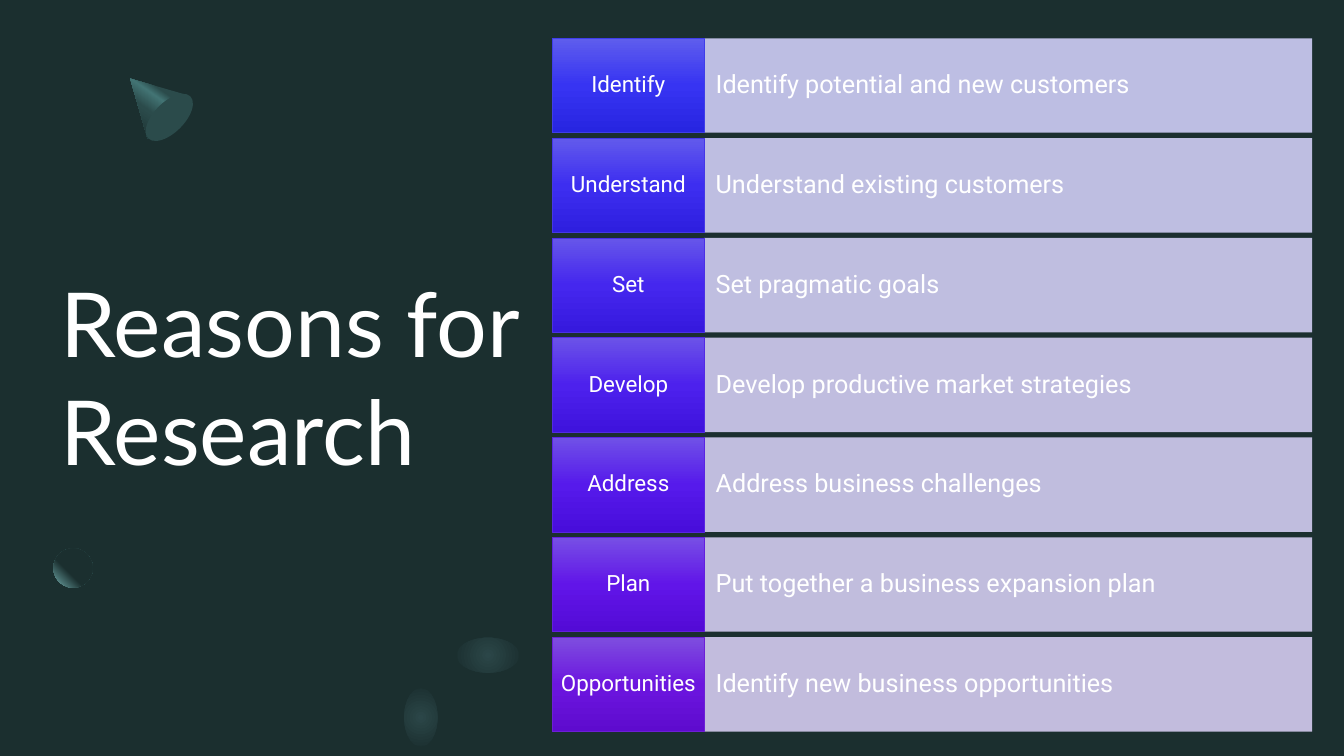
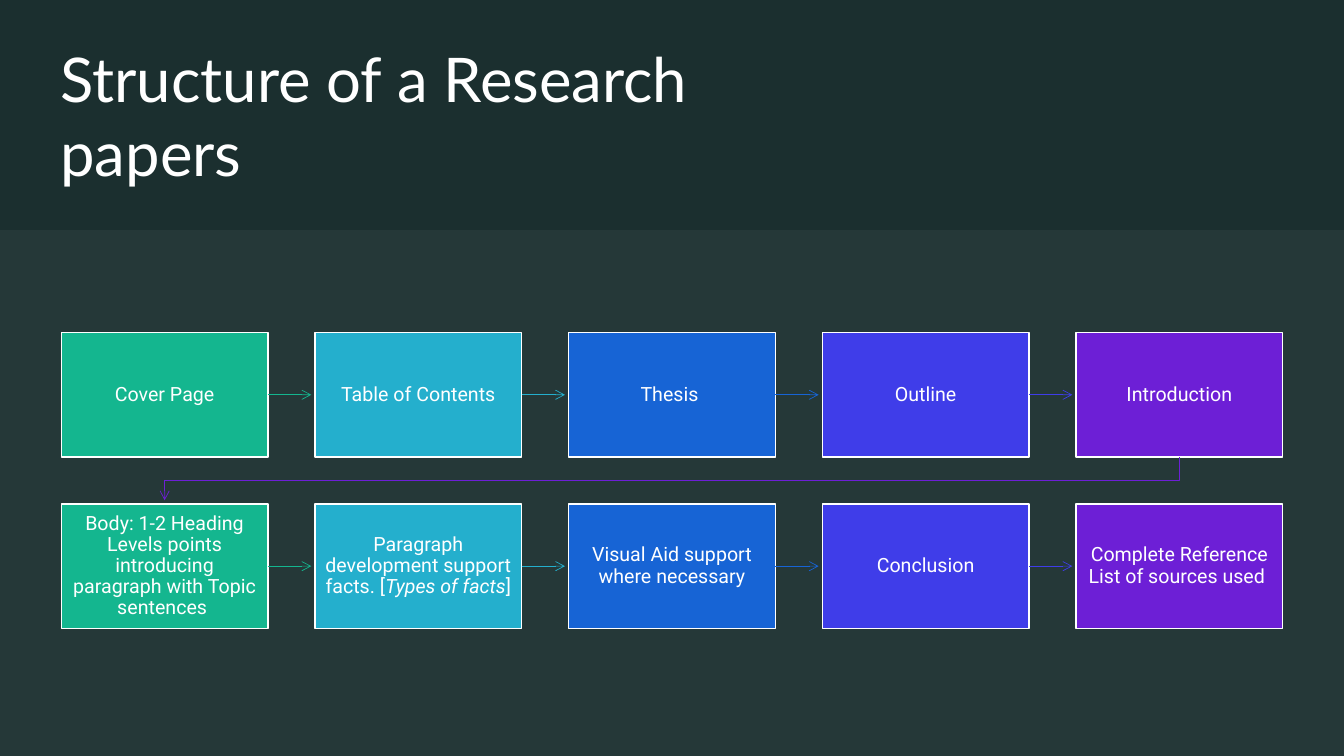
from lxml.etree import SubElement
from pptx import Presentation
from pptx.dml.color import RGBColor
from pptx.enum.shapes import MSO_CONNECTOR, MSO_SHAPE
from pptx.enum.text import MSO_ANCHOR, MSO_AUTO_SIZE, PP_ALIGN
from pptx.oxml.ns import qn
from pptx.util import Emu, Inches, Pt

COLUMNS, ROWS = 160, 90  # square grid cells across and down the slide
CELL = Inches(1 / 12)

NIGHT = RGBColor(0x1B, 0x2F, 0x2F)
PINE = RGBColor(0x2B, 0x4B, 0x4B)
TEAL = RGBColor(0x43, 0x74, 0x74)
MIST = RGBColor(0x75, 0xAF, 0xAF)
HAZE = RGBColor(0xE3, 0xEF, 0xEF)
WHITE = RGBColor(0xFF, 0xFF, 0xFF)
GREEN = RGBColor(0x14, 0xB6, 0x8F)
CYAN = RGBColor(0x24, 0xAF, 0xCD)
BLUE = RGBColor(0x17, 0x64, 0xD5)
INDIGO = RGBColor(0x3F, 0x3D, 0xE9)
PURPLE = RGBColor(0x6D, 0x1F, 0xD6)
STEP_COLORS = [GREEN, CYAN, BLUE, INDIGO, PURPLE]

# Tag, reason, panel tint, tag border, and the tag's top, middle and bottom shades
REASONS = [
    ("Identify", "Identify potential and new customers",
     "CFCEF7", "3F3DE9", "5E5DED", "3734F2", "2725E1"),
    ("Understand", "Understand existing customers",
     "D0CEF5", "4537E7", "625AEC", "3D2EF0", "2E1FDF"),
    ("Set", "Set pragmatic goals",
     "D1CEF4", "4B30E5", "6656EA", "4527EE", "3619DE"),
    ("Develop", "Develop productive market strategies",
     "D2CDF3", "532AE4", "6B53E8", "4D21ED", "3F13DD"),
    ("Address", "Address business challenges",
     "D3CDF2", "5A24E2", "7051E7", "561AEB", "480DDB"),
    ("Plan", "Put together a business expansion plan",
     "D4CDF1", "631FDE", "774FE5", "6115E8", "530BD6"),
    ("Opportunities", "Identify new business opportunities",
     "D5CCF0", "6D1FD6", "7E4EDF", "6C16DF", "5E0BCE"),
]

# Each step is a tuple of spans; every second span is italic
STEP_ROWS = [
    [("Cover Page",), ("Table of Contents",), ("Thesis ",), ("Outline",),
     ("Introduction",)],
    [("Body: 1-2 Heading Levels points introducing paragraph with Topic sentences ",),
     ("Paragraph development support facts. [", "Types of facts", "]"),
     ("Visual Aid support where necessary",), ("Conclusion",),
     ("Complete Reference List of sources used ",)],
]


def cells(*counts):
    return [Emu(round(count * CELL)) for count in counts]


def set_all(target, values):
    for name, value in values.items():
        setattr(target, name, value)


def write(shape, spans, size, font="Roboto", align=PP_ALIGN.CENTER,
          spacing=0.9, inset=(1, 0.6)):
    frame = shape.text_frame
    side, edge = cells(*inset)
    set_all(frame, {"word_wrap": True, "auto_size": MSO_AUTO_SIZE.NONE,
                    "vertical_anchor": MSO_ANCHOR.MIDDLE,
                    "margin_left": side, "margin_right": side,
                    "margin_top": edge, "margin_bottom": edge})
    para = frame.paragraphs[0]
    set_all(para, {"alignment": align, "line_spacing": spacing})
    for index, text in enumerate(spans):
        span = para.add_run()
        span.text = text
        set_all(span.font, {"name": font, "size": Pt(size),
                            "italic": index % 2 == 1})
        span.font.color.rgb = WHITE


def add_titled_page(deck, title, area, size):
    page = deck.slides.add_slide(deck.slide_layouts[5])
    box = page.shapes.title
    set_all(box, dict(zip(("left", "top", "width", "height"), cells(*area))))
    write(box, [title], size, "Lato", PP_ALIGN.LEFT, 1.0, (0, 0))
    return page


def outline(shape, color, width):
    shape.line.color.rgb = color
    shape.line.width = Pt(width)


def add_form(page, kind, area, color=None, opacity=100):
    shape = page.shapes.add_shape(kind, *cells(*area))
    shape.shadow.inherit = False
    shape.line.fill.background()
    if color is not None:
        shape.fill.solid()
        shape.fill.fore_color.rgb = color
    if opacity < 100:
        tone = shape.element.spPr.find(qn("a:solidFill"))[0]
        SubElement(tone, qn("a:alpha"), val=str(opacity * 1000))
    return shape


def add_outline(page, points, closed):
    start, *rest = [cells(*point) for point in points]
    builder = page.shapes.build_freeform(*start)
    builder.add_line_segments(rest, close=closed)
    shape = builder.convert_to_shape()
    shape.shadow.inherit = False
    return shape


def shade(shape, stops, angle=90, focus=None):
    """Fill with (percent, colour) stops, linear or circular around focus (l, t, r, b)."""
    shape.fill.gradient()
    fill = shape.element.spPr.find(qn("a:gradFill"))
    for child in list(fill):
        fill.remove(child)
    stop_list = SubElement(fill, qn("a:gsLst"))
    for percent, color in stops:
        stop = SubElement(stop_list, qn("a:gs"), pos=str(percent * 1000))
        SubElement(stop, qn("a:srgbClr"), val=str(color))
    if focus is None:
        SubElement(fill, qn("a:lin"), ang=str(angle * 60000), scaled="0")
    else:
        circle = SubElement(fill, qn("a:path"), {"path": "circle"})
        sides = {side: str(share * 1000) for side, share in zip("ltrb", focus)}
        SubElement(circle, qn("a:fillToRect"), sides)


def add_arrowhead(line):
    SubElement(line.element.spPr.find(qn("a:ln")), qn("a:tailEnd"), type="arrow")


def add_ornaments(page):
    cone = add_outline(page, [(15.5, 9.36), (22.4, 11.35), (17.55, 16.45)], True)
    cone.line.fill.background()
    shade(cone, [(30, PINE), (40, TEAL), (60, PINE), (100, NIGHT)], 125)
    base = add_form(page, MSO_SHAPE.OVAL, (18.36, 10.44, 3.6, 7.08), PINE)
    base.rotation = 45
    ball = add_form(page, MSO_SHAPE.OVAL, (6.36, 65.28, 4.68, 4.68))
    shade(ball, [(60, NIGHT), (100, MIST)], focus=(100, 0, 0, 100))
    for area in [(54.35, 75.9, 7.5, 4.2), (48.1, 81.9, 4, 7)]:
        glow = add_form(page, MSO_SHAPE.OVAL, area)
        shade(glow, [(0, RGBColor(0x2B, 0x46, 0x48)), (100, NIGHT)],
              focus=(50, 50, 50, 50))


def add_reason(page, row, tag, reason, *shades):
    tint, border, *tones = map(RGBColor.from_string, shades)
    top, height = 4.56 + 11.88 * row, 11.25
    panel = add_form(page, MSO_SHAPE.RECTANGLE, (83.8, top, 72.4, height), tint, 90)
    write(panel, [reason], 18, align=PP_ALIGN.LEFT, inset=(1.4, 0.6))
    label = add_form(page, MSO_SHAPE.RECTANGLE, (65.75, top, 18.1, height))
    shade(label, zip((0, 50, 100), tones))
    outline(label, border, 0.5)
    write(label, [tag], 16, inset=(0.6, 0.6))


def add_arrow(page, start_box, end, color):
    """Draw an arrow from the middle of a box's right side to a point in cells."""
    arrow = page.shapes.add_connector(MSO_CONNECTOR.STRAIGHT, 0, 0, *cells(*end))
    arrow.begin_connect(start_box, 3)
    outline(arrow, color, 0.5)
    SubElement(arrow.element.spPr, qn("a:effectLst"))
    add_arrowhead(arrow)


def add_flow(page):
    left, width, height, gap = 7.3, 24.6, 14.8, 0.44
    tops = (39.6, 60)
    step = (COLUMNS - 2 * left - width) / (len(STEP_COLORS) - 1)
    for top, steps in zip(tops, STEP_ROWS):
        for column, (spans, color) in enumerate(zip(steps, STEP_COLORS)):
            x = left + step * column
            box = add_form(page, MSO_SHAPE.RECTANGLE, (x, top, width, height), color)
            outline(box, WHITE, 1)
            write(box, spans, 14, inset=(1.2, 0.6))
            if column < len(steps) - 1:
                add_arrow(page, box, (x + step - gap, top + height / 2), color)
    first = left + width / 2
    last = COLUMNS - first
    bottom = tops[0] + height
    turn = (bottom + tops[1]) / 2
    bend = add_outline(page, [(last, bottom), (last, turn), (first, turn),
                              (first, tops[1] - gap)], False)
    bend.fill.background()
    outline(bend, PURPLE, 0.5)
    add_arrowhead(bend)


def main():
    deck = Presentation()
    deck.slide_width, deck.slide_height = cells(COLUMNS, ROWS)
    backdrop = deck.slide_master.background.fill
    backdrop.solid()
    backdrop.fore_color.rgb = NIGHT

    reasons = add_titled_page(deck, "Reasons for Research",
                              (7.2, 19.92, 59.52, 49.56), 64)
    add_ornaments(reasons)
    for row, reason in enumerate(REASONS):
        add_reason(reasons, row, *reason)

    structure = add_titled_page(deck, "Structure of a Research papers",
                                (7.2, 7.2, 95.88, 12.96), 44)
    add_form(structure, MSO_SHAPE.RECTANGLE, (0, 27.4, COLUMNS, ROWS - 27.4), HAZE, 5)
    add_flow(structure)
    deck.save("out.pptx")


if __name__ == "__main__":
    main()
